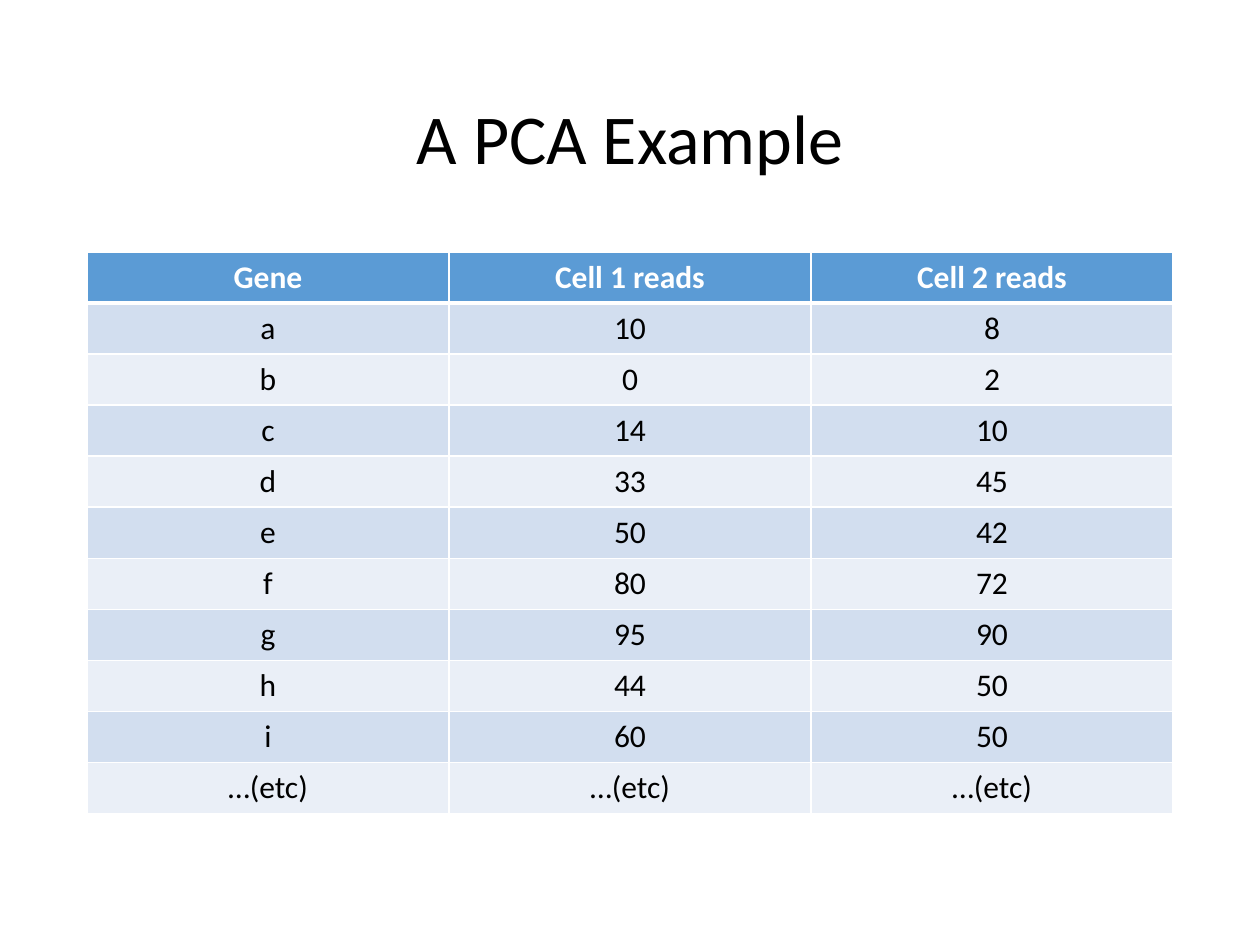
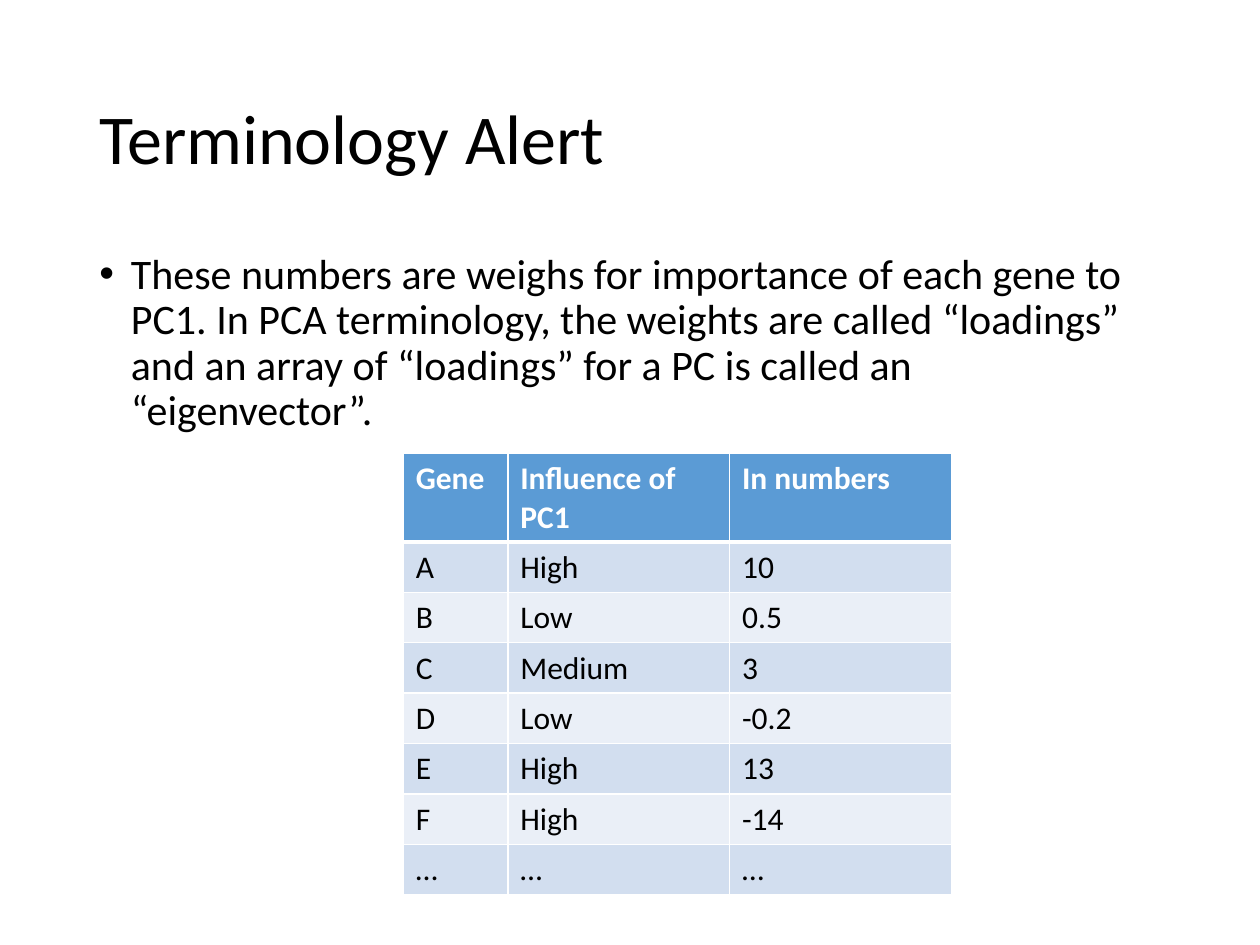
from lxml import etree
from pptx import Presentation
from pptx.dml.color import RGBColor
from pptx.enum.text import MSO_ANCHOR, PP_ALIGN
from pptx.oxml.ns import qn
from pptx.util import Inches, Pt

FONT = "Calibri"
WHITE, BLACK = "FFFFFF", "000000"
HEADER_FILL = "5B9BD5"
BAND_FILLS = ["D2DEEF", "EAEFF7"]
LEFT, WIDTH = 0.69, 8.62
TITLE_BOX = (LEFT, 0.4, WIDTH, 1.45)
ROW_HEIGHT = 0.4

READS = [
    ("Gene", "Cell 1 reads", "Cell 2 reads"),
    ("a", "10", "8"),
    ("b", "0", "2"),
    ("c", "14", "10"),
    ("d", "33", "45"),
    ("e", "50", "42"),
    ("f", "80", "72"),
    ("g", "95", "90"),
    ("h", "44", "50"),
    ("i", "60", "50"),
    ("…(etc)",) * 3,
]
LOADINGS = [
    ("Gene", "Influence of PC1", "In numbers"),
    ("A", "High", "10"),
    ("B", "Low", "0.5"),
    ("C", "Medium", "3"),
    ("D", "Low", "-0.2"),
    ("E", "High", "13"),
    ("F", "High", "-14"),
    ("…",) * 3,
]
DEFINITION = (
    "These numbers are weighs for importance of each gene to PC1. "
    "In PCA terminology, the weights are called “loadings” and an array of "
    "“loadings” for a PC is called an “eigenvector”."
)


def rgb(color):
    return RGBColor.from_string(color)


def write(tf, text, size=18, color=BLACK, bold=False, align=PP_ALIGN.LEFT,
          spacing=None, bullet=None, indent=0.25):
    p = tf.paragraphs[0]
    if bullet:
        pPr = p._p.get_or_add_pPr()
        pPr.set("marL", str(Inches(indent)))
        pPr.set("indent", str(-Inches(indent)))
        etree.SubElement(pPr, qn("a:buFont"), typeface="Arial")
        etree.SubElement(pPr, qn("a:buChar"), char=bullet)
    p.alignment = align
    if spacing:
        p.line_spacing = spacing
    r = p.add_run()
    r.text = text
    r.font.name, r.font.size, r.font.bold = FONT, Pt(size), bold
    r.font.color.rgb = rgb(color)


def add_text(s, box, text, anchor=MSO_ANCHOR.TOP, **fmt):
    tf = s.shapes.add_textbox(*map(Inches, box)).text_frame
    tf.word_wrap = True
    tf.vertical_anchor = anchor
    write(tf, text, spacing=0.9, **fmt)


def add_title(s, text, align=PP_ALIGN.LEFT):
    add_text(s, TITLE_BOX, text, MSO_ANCHOR.MIDDLE, size=40, align=align)


def set_borders(cell, top=1, bottom=1):
    tcPr = cell._tc.get_or_add_tcPr()
    for side, width in (("L", 1), ("R", 1), ("T", top), ("B", bottom)):
        ln = etree.SubElement(tcPr, qn("a:ln" + side), w=str(Pt(width)))
        fill = etree.SubElement(ln, qn("a:solidFill"))
        etree.SubElement(fill, qn("a:srgbClr"), val=WHITE)


def add_data_table(s, box, rows, col_widths, row_heights, align=PP_ALIGN.LEFT):
    table = s.shapes.add_table(len(rows), len(rows[0]), *map(Inches, box)).table
    for column, width in zip(table.columns, col_widths):
        column.width = Inches(width)
    for i, (values, height) in enumerate(zip(rows, row_heights)):
        table.rows[i].height = Inches(height)
        header = i == 0
        for j, value in enumerate(values):
            cell = table.cell(i, j)
            set_borders(cell, top=3 if i == 1 else 1, bottom=3 if header else 1)
            cell.fill.solid()
            cell.fill.fore_color.rgb = rgb(HEADER_FILL if header else BAND_FILLS[(i - 1) % 2])
            write(cell.text_frame, value, color=WHITE if header else BLACK,
                  bold=header, align=align)


def build_example(s):
    add_title(s, "A PCA Example", PP_ALIGN.CENTER)
    box = (LEFT, 2, WIDTH, 4.46)
    cols, count = len(READS[0]), len(READS)
    add_data_table(s, box, READS, [box[2] / cols] * cols,
                   [box[3] / count] * count, PP_ALIGN.CENTER)


def build_terminology(s):
    add_title(s, "Terminology Alert")
    add_text(s, (LEFT, 1.96, WIDTH, 1.87), DEFINITION, size=24, bullet="•")
    heights = [0.7] + [ROW_HEIGHT] * (len(LOADINGS) - 1)
    add_data_table(s, (3.2, 3.6, 4.35, sum(heights)), LOADINGS,
                   [0.83, 1.76, 1.76], heights)


def main():
    prs = Presentation()
    prs.slide_width, prs.slide_height = Inches(10), Inches(7.5)
    for build in (build_example, build_terminology):
        build(prs.slides.add_slide(prs.slide_layouts[6]))
    prs.save("out.pptx")


if __name__ == "__main__":
    main()
